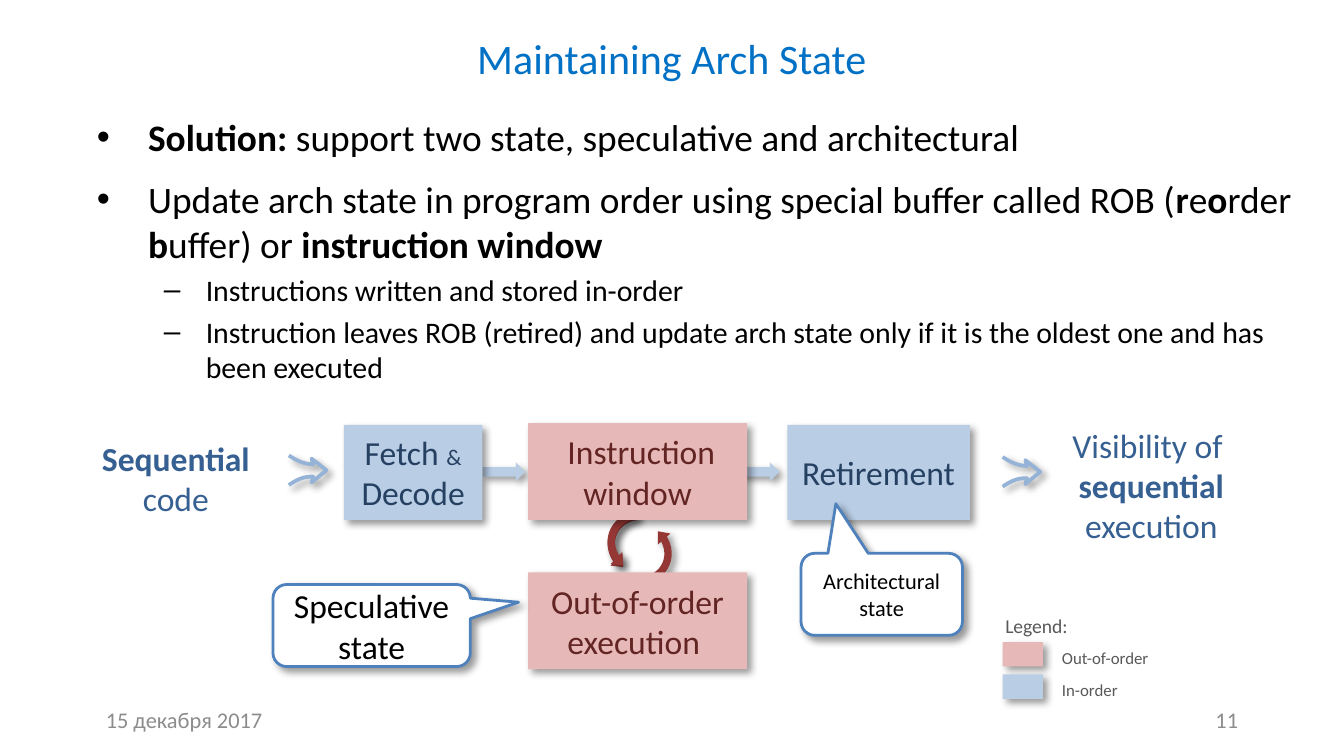
import pptx
import pptx.util
import pptx.dml.color
import pptx.enum.shapes
import pptx.enum.text
import pptx.oxml
import pptx.oxml.ns
from lxml import etree

Cm = pptx.util.Cm
Pt = pptx.util.Pt
RGB = pptx.dml.color.RGBColor
KIND = pptx.enum.shapes.MSO_SHAPE
ALIGN = pptx.enum.text.PP_ALIGN
MID = pptx.enum.text.MSO_ANCHOR.MIDDLE
qn = pptx.oxml.ns.qn

FONT = "Calibri"
BLACK = RGB(0, 0, 0)
WHITE = RGB(255, 255, 255)
TITLE = RGB(0x00, 0x71, 0xC5)
BLUE = RGB(0xB9, 0xCD, 0xE5)
NAVY = RGB(0x25, 0x40, 0x61)
STEEL = RGB(0x37, 0x60, 0x92)
SKY = RGB(0x95, 0xB3, 0xD7)
EDGE = RGB(0x4F, 0x81, 0xBD)
PINK = RGB(0xE6, 0xB9, 0xB8)
WINE = RGB(0x63, 0x25, 0x23)
RED = RGB(0x95, 0x37, 0x35)
GRAY = RGB(0x59, 0x59, 0x59)
PALE = RGB(0x8C, 0x8C, 0x8D)


def write(para, text, size, color, align=ALIGN.LEFT):
    """Fill a paragraph; parts between asterisks are bold."""
    para.alignment = align
    for i, part in enumerate(text.split("*")):
        if part:
            run = para.add_run()
            run.text = part
            run.font.name = FONT
            run.font.size = Pt(size)
            run.font.bold = i % 2 == 1
            run.font.color.rgb = color


def label(slide, box, lines, size, color, align=ALIGN.LEFT, wrap=True, anchor=None):
    frame = slide.shapes.add_textbox(*map(Cm, box)).text_frame
    frame.word_wrap = wrap
    frame.vertical_anchor = anchor
    for i, line in enumerate(lines):
        para = frame.add_paragraph() if i else frame.paragraphs[0]
        write(para, line, size, color, align)
    return frame


def shade(shape):
    shape.shadow.inherit = False
    effects = shape.element.spPr.find(qn("a:effectLst"))
    outer = etree.SubElement(effects, qn("a:outerShdw"), blurRad=str(Pt(4)),
                             dist=str(Pt(3)), dir="2700000", algn="tl", rotWithShape="0")
    tint = etree.SubElement(outer, qn("a:srgbClr"), val="000000")
    etree.SubElement(tint, qn("a:alpha"), val="40000")


def block(slide, kind, box, fill, text="", size=18, color=BLACK, edge=None, adjust=()):
    shape = slide.shapes.add_shape(kind, *map(Cm, box))
    shape.fill.solid()
    shape.fill.fore_color.rgb = fill
    if edge:
        shape.line.color.rgb = edge
        shape.line.width = Pt(1.5)
    else:
        shape.line.fill.background()
    for i, value in enumerate(adjust):
        shape.adjustments[i] = value
    shade(shape)
    if text:
        shape.text_frame.word_wrap = True
        shape.text_frame.vertical_anchor = MID
        write(shape.text_frame.paragraphs[0], text, size, color, ALIGN.CENTER)
    return shape


def curl(slide, left, top, turn, flip):
    shape = block(slide, KIND.CIRCULAR_ARROW, (left, top, 1.42, 1.57), RED,
                  adjust=(0.098, 11.423, 189.244, 126.702, 0.112))
    shape.rotation = turn
    shape.element.spPr.find(qn("a:xfrm")).set(flip, "1")


def curve(a, b, c, d, steps=10):
    """Points along a cubic curve, both ends included."""
    for i in range(steps + 1):
        t = i / steps
        u = 1 - t
        yield tuple(u**3 * p + 3 * u * u * t * q + 3 * u * t * t * r + t**3 * s
                    for p, q, r, s in zip(a, b, c, d))


def swoosh(slide, left, top):
    points = [*curve((0, 0), (0.18, 0.12), (0.3, 0.16), (0.46, 0.17)),
              (0.43, 0.06), (0.71, 0.28), (0.43, 0.51),
              *curve((0.46, 0.4), (0.3, 0.4), (0.19, 0.43), (0, 0.56))]
    points = [(Cm(left + x), Cm(top + y)) for x, y in points]
    pen = slide.shapes.build_freeform(*points[0])
    pen.add_line_segments(points[1:], close=False)
    shape = pen.convert_to_shape()
    shape.fill.background()
    shape.line.color.rgb = SKY
    shape.line.width = Pt(2)
    shade(shape)


def bullets(slide, box, items):
    frame = slide.shapes.add_textbox(*map(Cm, box)).text_frame
    frame.word_wrap = True
    frame.margin_left = frame.margin_right = Cm(0.18)
    frame.margin_top = frame.margin_bottom = Cm(0.1)
    for i, (level, gap, text) in enumerate(items):
        para = frame.add_paragraph() if i else frame.paragraphs[0]
        margin, hang, mark, size = ((0.97, 0.97, "•", 20), (2.06, 0.79, "–", 16))[level]
        para.level = level
        para.space_before = Pt(gap)
        props = para._p.get_or_add_pPr()
        props.set("marL", str(Cm(margin)))
        props.set("indent", str(-Cm(hang)))
        etree.SubElement(props, qn("a:buFont"), typeface="Arial")
        etree.SubElement(props, qn("a:buChar"), char=mark)
        write(para, text, size, BLACK)


def flow(slide):
    # Loop between window and execution
    curl(slide, 11.46, 9.53, 288.6, "flipH")
    curl(slide, 11.46, 9.5, 288.6, "flipH")
    curl(slide, 11.3, 9.63, 292.9, "flipV")

    # Pipeline stages
    for left in (9.12, 13.92):
        block(slide, KIND.RIGHT_ARROW, (left, 8.74, 0.81, 0.36), BLUE)
    block(slide, KIND.RECTANGLE, (14.88, 8.03, 3.45, 1.8), BLUE, "Retirement", color=NAVY)
    for top, text in ((8, " Instruction window"), (10.82, "Out-of-order execution ")):
        block(slide, KIND.RECTANGLE, (9.98, top, 4.14, 1.83), PINK, text, color=WINE)
    fetch = block(slide, KIND.RECTANGLE, (6.5, 8.03, 2.62, 1.8), BLUE,
                  "Fetch *&* Decode", color=NAVY)
    sign = fetch.text_frame.paragraphs[0].runs[1].font
    sign.size, sign.bold = Pt(12), False

    # Input and output
    label(slide, (1.14, 8.15, 4.37, 1.8), ["*Sequential* code"], 18, STEEL, ALIGN.CENTER)
    label(slide, (19.51, 7.9, 4.5, 2.57), ["Visibility of ", "*sequential *execution"],
          18, STEEL, ALIGN.CENTER)
    swoosh(slide, 5.46, 8.61)
    swoosh(slide, 18.95, 8.64)

    # Callouts
    for box, text, size, tip in (
            ((5.16, 11.05, 3.73, 1.55), "Speculative state", 18, (0.744, -0.284)),
            ((15.14, 10.46, 3.05, 1.55), "Architectural state", 12, (-0.284, -1.105))):
        block(slide, KIND.ROUNDED_RECTANGULAR_CALLOUT, box, WHITE, text, size,
              edge=EDGE, adjust=(*tip, 0.167))


def legend(slide):
    label(slide, (18.75, 11.48, 1.7, 0.71), ["Legend:"], 10.5, GRAY, wrap=False)
    for top, fill, text, width in ((12.14, PINK, "Out-of-order", 2.18),
                                   (12.75, BLUE, "In-order", 1.57)):
        block(slide, KIND.RECTANGLE, (18.95, top, 0.76, 0.46), fill)
        label(slide, (19.82, top - 0.02, width, 0.64), [text], 9, GRAY, wrap=False)


def main():
    deck = pptx.Presentation()
    deck.slide_width, deck.slide_height = Cm(25.4), Cm(14.29)
    slide = deck.slides.add_slide(deck.slide_layouts[6])

    # Title
    head = label(slide, (1.27, 0.3, 22.86, 1.85), ["Maintaining Arch State"],
                 22.5, TITLE, ALIGN.CENTER, anchor=MID)
    head.margin_left = head.margin_right = head.margin_top = head.margin_bottom = 0
    head.paragraphs[0].line_spacing = Pt(19.5)

    # Main points
    bullets(slide, (1.65, 2.06, 23.09, 6.55), (
        (0, 0, "*Solution: *support two state, speculative and architectural"),
        (0, 9, "Update arch state in program order using special buffer called ROB "
               "(*r*e*o*rder *b*uffer) or *instruction window*"),
        (1, 3.2, "Instructions written and stored in-order"),
        (1, 3.2, "Instruction leaves ROB (retired) and update arch state only if "
                 "it is the oldest one and has been executed")))

    flow(slide)
    legend(slide)

    # Footer
    for left, text, align in ((1.75, "15 декабря 2017", ALIGN.LEFT),
                              (17.93, "11", ALIGN.RIGHT)):
        label(slide, (left, 13.23, 5.72, 0.76), [text], 12, PALE, align, anchor=MID)

    deck.save("out.pptx")


if __name__ == "__main__":
    main()
